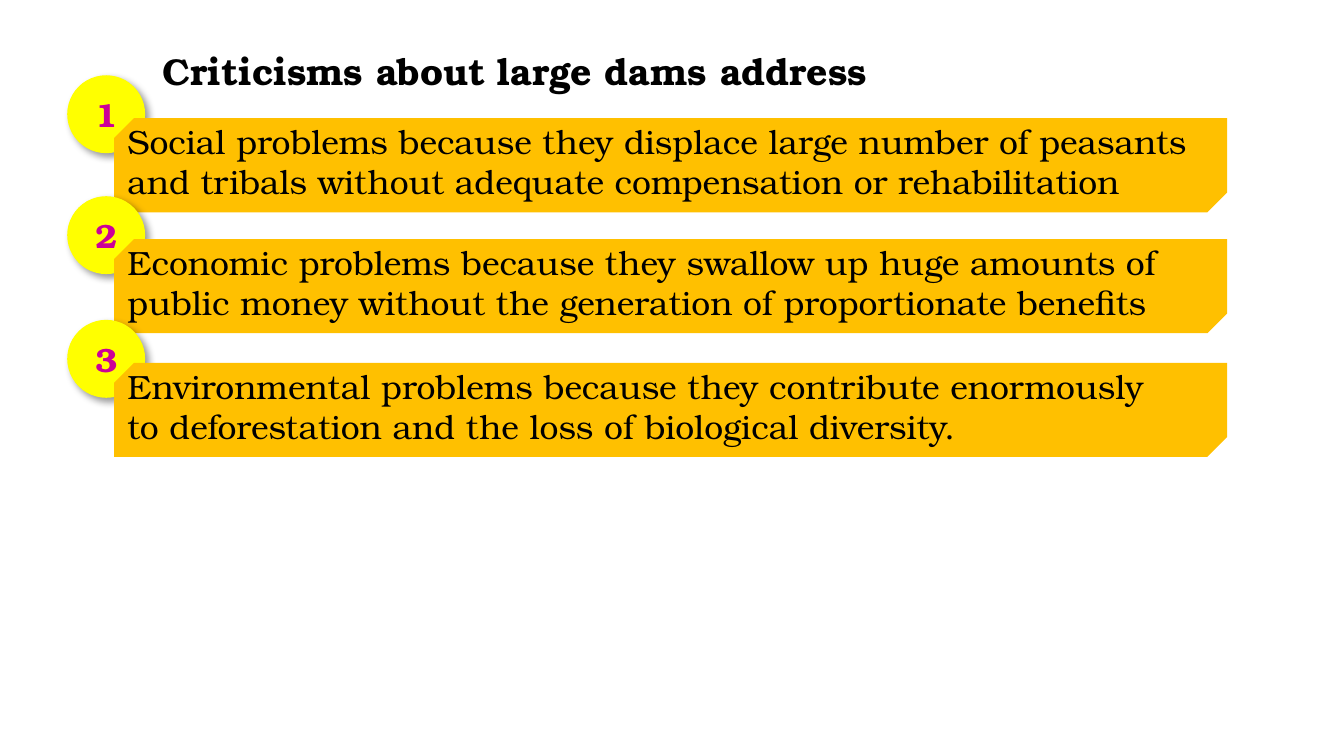
from lxml import etree
from pptx import Presentation
from pptx.dml.color import RGBColor
from pptx.enum.shapes import MSO_SHAPE as SHAPE
from pptx.enum.text import MSO_ANCHOR, MSO_AUTO_SIZE, PP_ALIGN
from pptx.oxml.ns import qn
from pptx.util import Inches, Pt

FONT = "TeX Gyre Bonum"
BODY = {"name": FONT, "size": Pt(18), "bold": False}
NUMBER = {"name": FONT, "size": Pt(18), "bold": True}
TITLE = {"name": FONT, "size": Pt(20), "bold": True}


def rgb(value):
    return RGBColor.from_string(value)


def write(sp, lines, style, color, align=PP_ALIGN.LEFT):
    tf = sp.text_frame
    for i, line in enumerate(lines):
        p = tf.add_paragraph() if i else tf.paragraphs[0]
        p.alignment = align
        r = p.add_run()
        r.text = line
        for key, value in style.items():
            setattr(r.font, key, value)
        r.font.color.rgb = rgb(color)


# Widescreen 16:9 slide
prs = Presentation()
prs.slide_width = Inches(10)
prs.slide_height = Inches(10 * 9 / 16)
s = prs.slides.add_slide(prs.slide_layouts[6])

# Numbered criticisms: top of the group and its text lines
criticisms = [
    (0.56, ["Social problems because they displace large number of peasants "
            "and tribals without adequate compensation or rehabilitation"]),
    (1.46, ["Economic problems because they swallow up huge amounts of",
            "public money without the generation of proportionate benefits"]),
    (2.38, ["Environmental problems because they contribute enormously",
            "to deforestation and the loss of biological diversity."]),
]
for number, (top, lines) in enumerate(criticisms, 1):
    group = s.shapes.add_group_shape().shapes

    # Number disc with a soft shadow, and the bar
    disc = group.add_shape(SHAPE.OVAL, Inches(0.5), Inches(top),
                           Inches(0.58), Inches(0.58))
    bar = group.add_shape(SHAPE.SNIP_2_DIAG_RECTANGLE, Inches(0.85),
                          Inches(top + 0.32), Inches(8.28), Inches(0.7))
    bar.adjustments[0], bar.adjustments[1] = 0.21, 0
    for sp, color in ((disc, "FFFF00"), (bar, "FFC000")):
        sp.shadow.inherit = False
        sp.fill.solid()
        sp.fill.fore_color.rgb = rgb(color)
        sp.line.fill.background()
    effects = disc._element.spPr.find(qn("a:effectLst"))
    shadow = etree.SubElement(effects, qn("a:outerShdw"), blurRad=str(Pt(4)),
                              dist=str(Pt(3)), dir=str(45 * 60000),
                              algn="tl", rotWithShape="0")
    shade = etree.SubElement(shadow, qn("a:srgbClr"), val="000000")
    etree.SubElement(shade, qn("a:alpha"), val="40000")
    disc.text_frame.vertical_anchor = MSO_ANCHOR.MIDDLE
    write(disc, [str(number)], NUMBER, "CC0099", PP_ALIGN.CENTER)

    # Criticism text over the bar
    box = group.add_textbox(Inches(0.85), Inches(top + 0.29),
                            Inches(8.32), Inches(0.71))
    box.text_frame.word_wrap = True
    box.text_frame.auto_size = MSO_AUTO_SIZE.SHAPE_TO_FIT_TEXT
    write(box, lines, BODY, "000000")

# Title
title = s.shapes.add_textbox(Inches(1.11), Inches(0.31),
                             Inches(5.49), Inches(0.44))
title.text_frame.word_wrap = False
title.text_frame.auto_size = MSO_AUTO_SIZE.SHAPE_TO_FIT_TEXT
write(title, ["Criticisms about large dams address"], TITLE, "000000")

prs.save("out.pptx")
